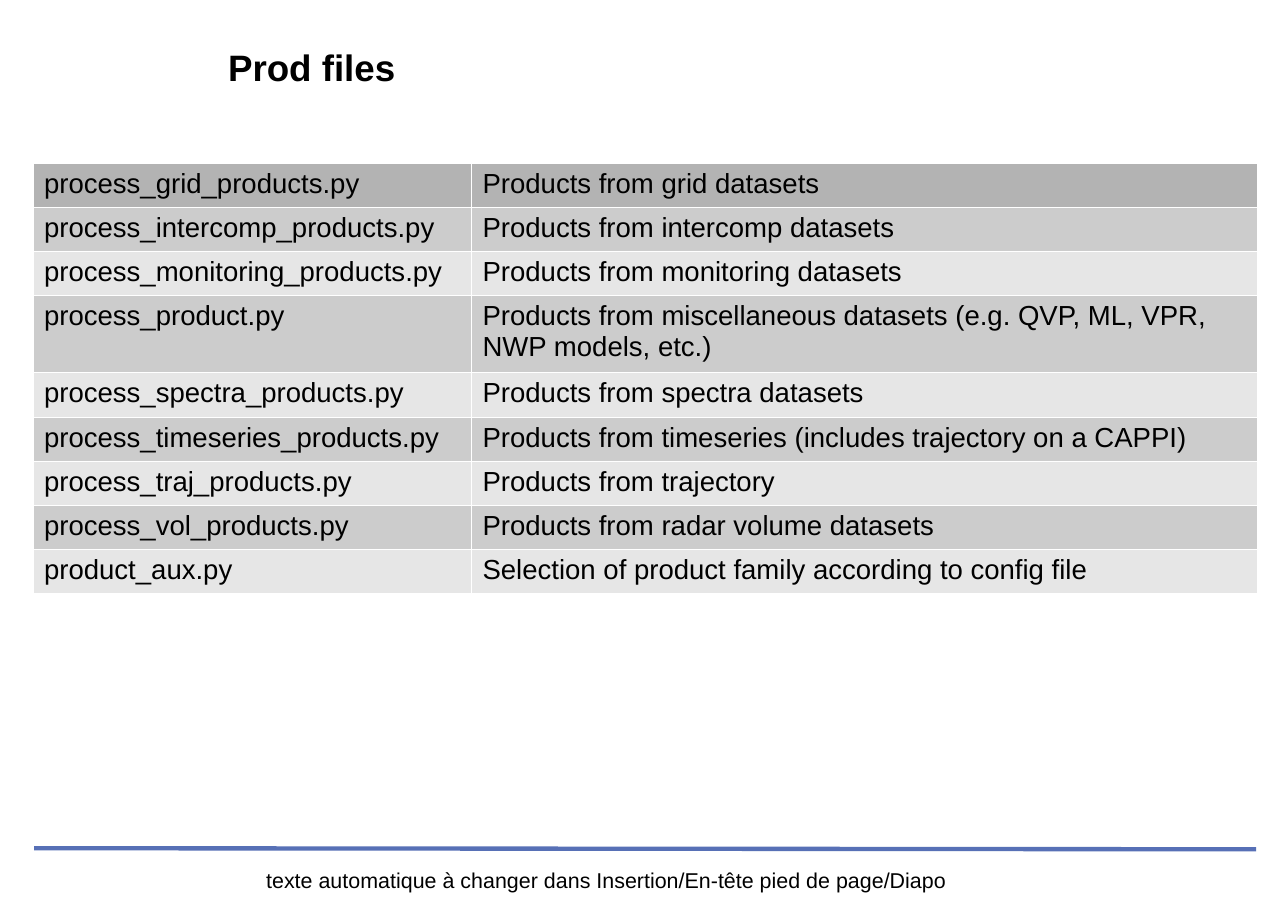
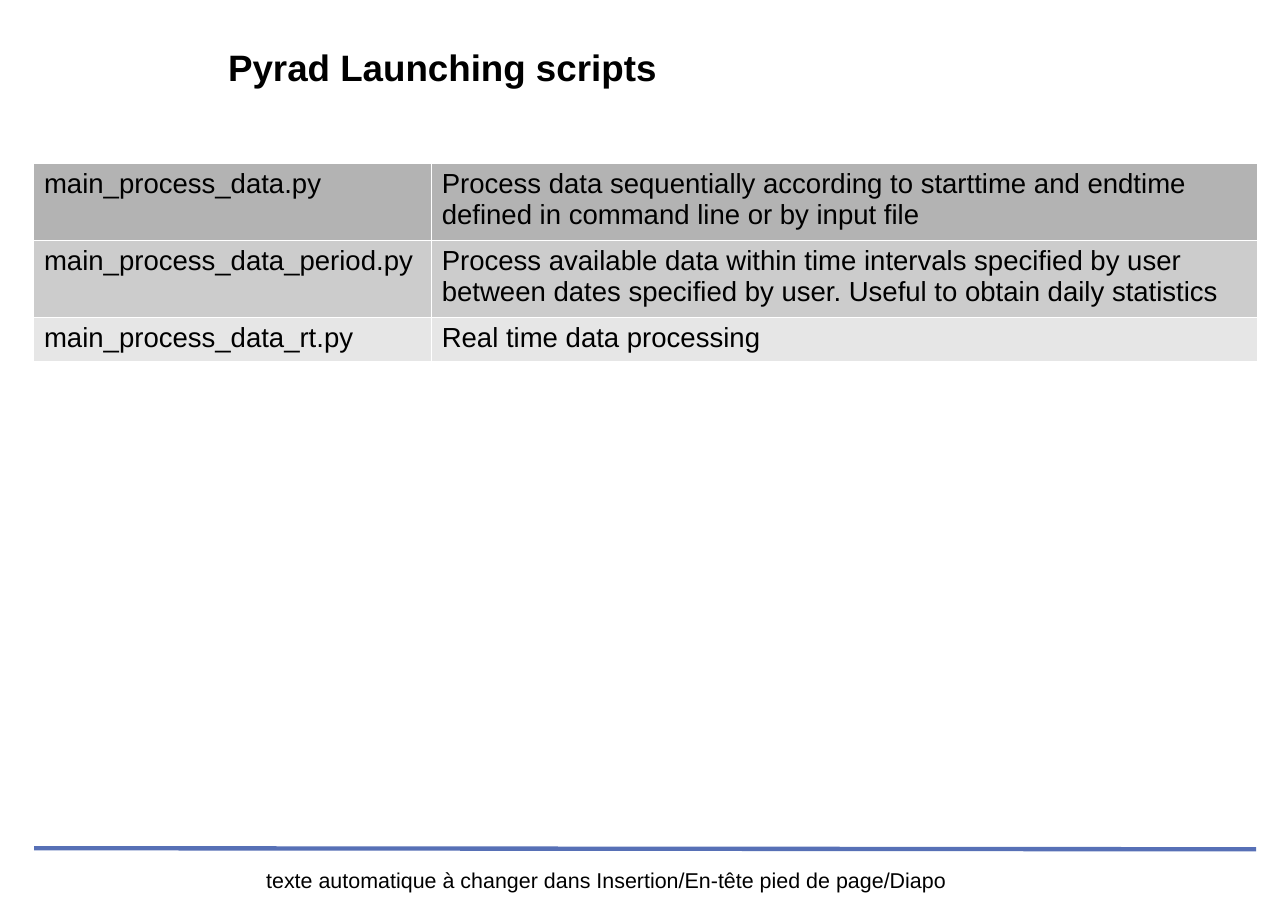
from lxml.etree import SubElement
from pptx import Presentation
from pptx.dml.color import RGBColor
from pptx.enum.text import MSO_ANCHOR, MSO_AUTO_SIZE, PP_ALIGN
from pptx.oxml.ns import qn
from pptx.util import Inches, Pt

FONT = "Arial"
COLORS = {
    "text": "000000",
    "page": "FFFFFF",
    "rule": "5770B6",
    "border": "FFFFFF",
    "first_row": "B3B3B3",
    "odd_row": "CCCCCC",
    "even_row": "E6E6E6",
}
FOOTER = "texte automatique à changer dans Insertion/En-tête pied de page/Diapo"

# Boxes: left, top, width, height in inches
TITLE_BOX = (2.07, 0.27, 9.24, 0.67)
FOOTER_BOX = (1.49, 7.87, 8.03, 0.39)
RULE_ENDS = (0.31, 7.7, 11.4, 7.71)

# Tables: left, top, width; row height grows with the number of lines
TABLE_BOX = (0.3, 1.48, 11.11)
ROW_PADDING = 0.1
LINE_HEIGHT = 0.3
BORDER_WIDTH = Pt(0.06)

PROD_FILES = [
    ("process_grid_products.py", "Products from grid datasets", 1),
    ("process_intercomp_products.py", "Products from intercomp datasets", 1),
    ("process_monitoring_products.py", "Products from monitoring datasets", 1),
    ("process_product.py",
     "Products from miscellaneous datasets (e.g. QVP, ML, VPR, NWP models, etc.)", 2),
    ("process_spectra_products.py", "Products from spectra datasets", 1),
    ("process_timeseries_products.py",
     "Products from timeseries (includes trajectory on a CAPPI)", 1),
    ("process_traj_products.py", "Products from trajectory", 1),
    ("process_vol_products.py", "Products from radar volume datasets", 1),
    ("product_aux.py", "Selection of product family according to config file", 1),
]
LAUNCHING_SCRIPTS = [
    ("main_process_data.py",
     "Process data sequentially according to starttime and endtime "
     "defined in command line or by input file", 2),
    ("main_process_data_period.py",
     "Process available data within time intervals specified by user "
     "between dates specified by user. Useful to obtain daily statistics", 2),
    ("main_process_data_rt.py", "Real time data processing", 1),
]


def color(name):
    return RGBColor.from_string(COLORS[name])


def style_text(frame, size, align=PP_ALIGN.LEFT, bold=False):
    for para in frame.paragraphs:
        para.alignment = align
        para.font.name = FONT
        para.font.size = Pt(size)
        para.font.bold = bold
        para.font.color.rgb = color("text")


def remove_margins(frame):
    frame.margin_left = frame.margin_right = 0
    frame.margin_top = frame.margin_bottom = 0


def add_title(page, text, box):
    title = page.shapes.title
    title.left, title.top, title.width, title.height = map(Inches, box)
    title.fill.solid()
    title.fill.fore_color.rgb = color("page")
    frame = title.text_frame
    frame.text = text
    frame.word_wrap = True
    frame.auto_size = MSO_AUTO_SIZE.SHAPE_TO_FIT_TEXT
    frame.vertical_anchor = MSO_ANCHOR.MIDDLE
    remove_margins(frame)
    style_text(frame, 24, bold=True)


def add_rule(page, ends):
    rule = page.shapes.add_connector(1, *map(Inches, ends))
    rule.line.color.rgb = color("rule")
    rule.line.width = Pt(2.83)
    SubElement(rule._element.spPr, qn("a:effectLst"))


def add_footer(page, box):
    footer = page.shapes.add_textbox(*map(Inches, box))
    frame = footer.text_frame
    frame.text = FOOTER
    frame.word_wrap = True
    remove_margins(frame)
    style_text(frame, 14, PP_ALIGN.CENTER)


def add_borders(cell):
    properties = cell._tc.get_or_add_tcPr()
    for side in ("lnL", "lnR", "lnT", "lnB"):
        line = SubElement(properties, qn(f"a:{side}"), w=str(BORDER_WIDTH))
        fill = SubElement(line, qn("a:solidFill"))
        SubElement(fill, qn("a:srgbClr"), val=COLORS["border"])


def row_color(index):
    if index == 0:
        return color("first_row")
    return color("odd_row" if index % 2 else "even_row")


def add_file_table(page, rows, name_width, box):
    left, top, width = box
    heights = [ROW_PADDING + LINE_HEIGHT * lines for *_, lines in rows]
    table = page.shapes.add_table(
        len(rows), 2, Inches(left), Inches(top), Inches(width), Inches(sum(heights))
    ).table
    table.first_row = table.horz_banding = False
    table.columns[0].width = Inches(name_width)
    table.columns[1].width = Inches(width - name_width)
    for index, (name, description, _) in enumerate(rows):
        table.rows[index].height = Inches(heights[index])
        for cell, text in zip(table.rows[index].cells, (name, description)):
            cell.text = text
            style_text(cell.text_frame, 18)
            # Borders come before the fill in the cell properties
            add_borders(cell)
            cell.fill.solid()
            cell.fill.fore_color.rgb = row_color(index)


def add_table_page(deck, title, rows, name_width):
    page = deck.slides.add_slide(deck.slide_layouts[5])
    add_rule(page, RULE_ENDS)
    add_title(page, title, TITLE_BOX)
    add_file_table(page, rows, name_width, TABLE_BOX)
    add_footer(page, FOOTER_BOX)


def main():
    deck = Presentation()
    deck.slide_width, deck.slide_height = Inches(11.69), Inches(8.27)
    add_table_page(deck, "Prod files", PROD_FILES, 3.98)
    add_table_page(deck, "Pyrad Launching scripts", LAUNCHING_SCRIPTS, 3.61)
    deck.save("out.pptx")


if __name__ == "__main__":
    main()
